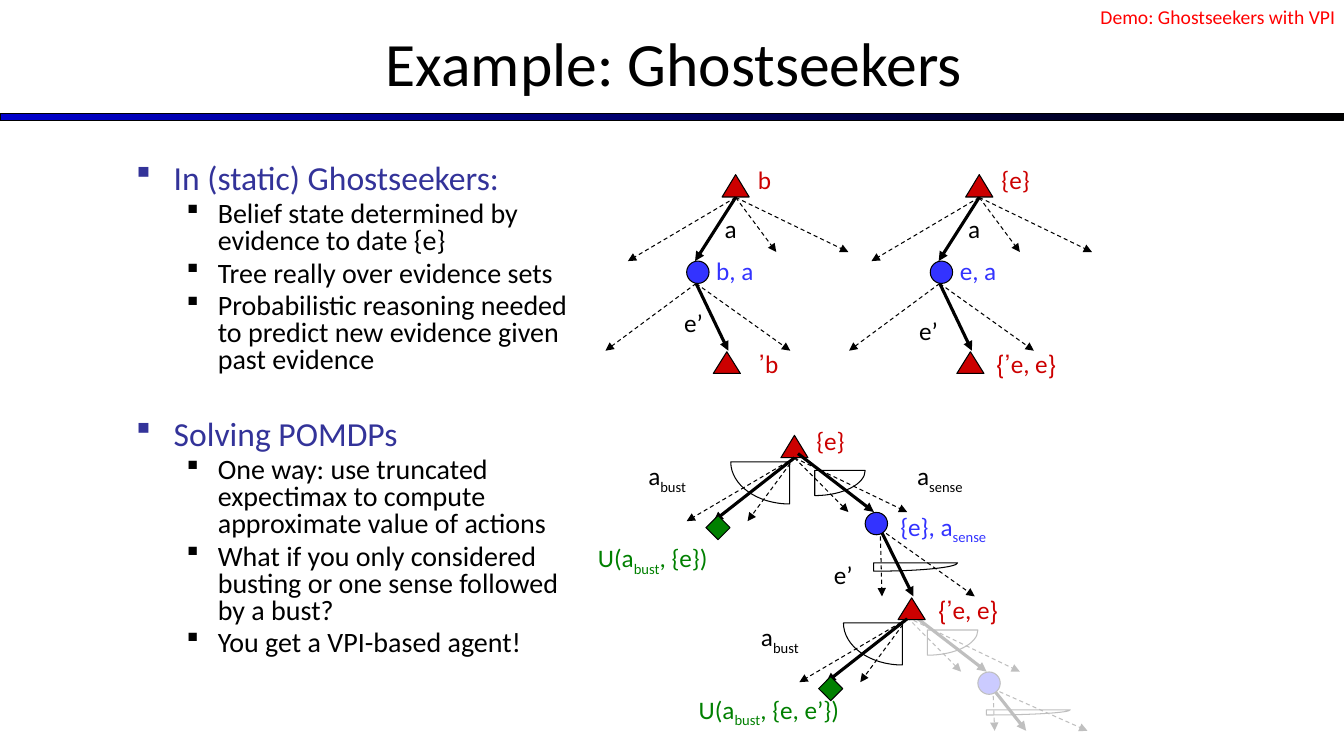
from lxml.etree import SubElement
from pptx import Presentation
from pptx.dml.color import RGBColor
from pptx.enum.dml import MSO_LINE
from pptx.enum.shapes import MSO_CONNECTOR, MSO_SHAPE as SHAPE
from pptx.enum.text import MSO_ANCHOR as ANCHOR, PP_ALIGN as ALIGN
from pptx.oxml.ns import qn
from pptx.util import Pt

BLACK, WHITE = "000000", "FFFFFF"
RED, BLUE, GREEN, NAVY = "CC0000", "3333FF", "008000", "333399"
NODE = 16  # diameter of a chance node
ROOT_Y, ACTION_Y, CHANCE_Y, RESULT_Y = 141, 186.5, 202.5, 250.5
ROUND = 0.55  # Bézier handle length for a quarter ellipse

BODY = [
    (0, "In (static) Ghostseekers:"),
    (1, "Belief state determined by evidence to date {e}"),
    (1, "Tree really over evidence sets"),
    (1, "Probabilistic reasoning needed to predict new evidence given past evidence"),
    (0, "Solving POMDPs"),
    (1, "One way: use truncated expectimax to compute approximate value of actions"),
    (1, "What if you only considered busting or one sense followed by a bust?"),
    (1, "You get a VPI-based agent!"),
]


def rgb(color):
    return RGBColor.from_string(color)


# Text
def write(paragraph, text, size=18, color=BLACK, align=ALIGN.LEFT, rtl=False):
    """Fill a paragraph; parts between bars are subscripts."""
    paragraph.alignment = align
    if rtl:
        paragraph._p.get_or_add_pPr().set("rtl", "1")
    for i, part in enumerate(text.split("|")):
        run = paragraph.add_run()
        run.text = part
        run.font.name = "Calibri"
        run.font.size = Pt(size)
        run.font.color.rgb = rgb(color)
        if i % 2:
            run._r.get_or_add_rPr().set("baseline", "-25000")


def frame(slide, left, top, width, height, anchor=ANCHOR.TOP):
    box = slide.shapes.add_textbox(Pt(left), Pt(top), Pt(width), Pt(height))
    box.text_frame.word_wrap = True
    box.text_frame.vertical_anchor = anchor
    return box.text_frame


def label(slide, text, left, top, width=72, height=29, anchor=ANCHOR.TOP, **style):
    write(frame(slide, left, top, width, height, anchor).paragraphs[0], text, **style)


def outline(slide):
    body = frame(slide, 90, 114, 336, 356)
    for i, (level, text) in enumerate(BODY):
        paragraph = body.paragraphs[0] if i == 0 else body.add_paragraph()
        size, color, margin, indent = [(24, NAVY, 27, 27), (20, BLACK, 58.5, 22.5)][level]
        write(paragraph, text, size=size, color=color)
        paragraph.level = level
        paragraph.line_spacing = 0.8
        paragraph.space_before = Pt(4 if level else 32.5 if i else 0)
        properties = paragraph._p.get_or_add_pPr()
        properties.set("marL", str(Pt(margin)))
        properties.set("indent", str(-Pt(indent)))
        bullet_color = SubElement(properties, qn("a:buClr"))
        SubElement(bullet_color, qn("a:srgbClr"), val=color)
        # The small square of the symbol font sits at this letter
        SubElement(properties, qn("a:buFont"), typeface="Wingdings", charset="2")
        SubElement(properties, qn("a:buChar"), char="§")


# Shapes
def node(slide, kind, left, top, width, height, fill=None, line=BLACK):
    shape = slide.shapes.add_shape(kind, Pt(left), Pt(top), Pt(width), Pt(height))
    shape.shadow.inherit = False
    if fill:
        shape.fill.solid()
        shape.fill.fore_color.rgb = rgb(fill)
    shape.line.color.rgb = rgb(line)
    shape.line.width = Pt(0.75)
    return shape


def max_node(slide, x, top, height=15.5):
    node(slide, SHAPE.ISOSCELES_TRIANGLE, x - 9.7, top, 19.4, height, RED)


def chance_node(slide, left, top):
    node(slide, SHAPE.OVAL, left, top, NODE, NODE, BLUE)


def arrow(slide, start, end, bold=False):
    edge = slide.shapes.add_connector(
        MSO_CONNECTOR.STRAIGHT, *(Pt(v) for v in (*start, *end)))
    edge.line.color.rgb = rgb(BLACK)
    edge.line.width = Pt(2.25 if bold else 0.75)
    if not bold:
        edge.line.dash_style = MSO_LINE.DASH
    properties = edge._element.spPr
    SubElement(properties.find(qn("a:ln")), qn("a:tailEnd"), type="triangle")
    SubElement(properties, qn("a:effectLst"))


def fan(slide, start, chosen, others):
    """Dashed arrows to the other children, a bold one to the chosen child."""
    for end in others:
        arrow(slide, start, end)
    arrow(slide, start, chosen, bold=True)


def wedge(slide, x, y, rx, ry):
    """Quarter ellipse with its corner at x, y; signed radii give the side."""
    builder = slide.shapes.build_freeform(Pt(x), Pt(y))
    builder.add_line_segments([(Pt(x + rx), Pt(y)), (Pt(x), Pt(y + ry))], close=True)
    sector = builder.convert_to_shape()
    sector.shadow.inherit = False
    sector.fill.background()
    sector.line.color.rgb = rgb(BLACK)
    sector.line.width = Pt(0.75)
    # Bend the slanted side into an elliptic arc
    slant = list(sector._element.iter(qn("a:lnTo")))[1]
    slant.tag = qn("a:cubicBezTo")
    end = slant[0]
    end_x, end_y = int(end.get("x")), int(end.get("y"))
    dx, dy = Pt(rx), Pt(ry)
    handles = [(end_x + dx, end_y - dy + ROUND * dy), (end_x + ROUND * dx, end_y)]
    for i, (handle_x, handle_y) in enumerate(handles):
        handle = SubElement(slant, qn("a:pt"), x=str(int(handle_x)), y=str(int(handle_y)))
        slant.insert(i, handle)


# Trees
def belief_tree(slide, x, root, action, result, result_box, evidence_at):
    max_node(slide, x, 124.75, 16)
    fan(slide, (x, ROOT_Y), (x - 29, ACTION_Y),
        [(x - 77, ACTION_Y), (x + 80.5, 180), (x + 29, 180)])
    chance_node(slide, x - 35, ACTION_Y)
    fan(slide, (x - 28.25, CHANCE_Y), (x - 5.25, RESULT_Y),
        [(x - 93, RESULT_Y), (x + 39, RESULT_Y)])
    max_node(slide, x - 6.3, 251.25)
    label(slide, "a", x - 15, 149, 24)
    label(slide, root, x + 8.75, 114, 54, color=RED)
    label(slide, action, x - 21, 178.5, color=BLUE)
    label(slide, "e’", x + evidence_at[0], evidence_at[1], 40)
    left, width = result_box
    label(slide, result, x + left, 245, width, color=RED, align=ALIGN.RIGHT, rtl=True)


def bust_branch(slide, x, y):
    fan(slide, (x, y), (x - 57.75, y + 45.25), [(x - 77, y + 45.25), (x - 33.5, y + 45.25)])
    utility = node(slide, SHAPE.RECTANGLE, x - 60.75, y + 43.75, 12.25, 12.25, GREEN)
    utility.rotation = 45
    wedge(slide, x - 3.5, y + 3, -42, 30)
    label(slide, "a|bust|", x - 111.5, y - 1.5, 78)


def sense_branch(slide, x, y, drop):
    arrow(slide, (x + 2.5, y - 3), (x + 56.75, y + 38.75), bold=True)
    for end in [(x + 80.5, y + 38.75), (x + 38.5, y + 38.75)]:
        arrow(slide, (x, y), end)
    wedge(slide, x + 14.5, y + 9, 36, 18)
    start_x, start_y = x + 61.25, y + 51
    fan(slide, (start_x, start_y), (start_x + 23.75, start_y + drop),
        [(start_x + 1.25, start_y + drop), (start_x + 67.5, start_y + drop)])
    wedge(slide, start_x - 4.75, start_y + drop / 2, 60, drop / 8)
    chance_node(slide, x + 50.5, y + 39)


def header(slide):
    bar = node(slide, SHAPE.RECTANGLE, 0, 81, 960, 5)
    bar.fill.gradient()
    bar.fill.gradient_angle = 0
    for stop, color in zip(bar.fill.gradient_stops, ("0000CC", BLACK)):
        stop.color.rgb = rgb(color)
    label(slide, "Example: Ghostseekers", 1.5, -0.75, 960, 90, ANCHOR.MIDDLE,
          size=44, align=ALIGN.CENTER)
    label(slide, "Demo: Ghostseekers with VPI", 779, 0, 186, 24.5, size=14, color="FF0000")


def vpi_tree(slide):
    # Faded continuation below the second evidence node
    sense_branch(slide, 648, 441, drop=30)
    veil = node(slide, SHAPE.RECTANGLE, 648, 432, 138, 108, WHITE, line=WHITE)
    veil_color = veil._element.spPr.find(qn("a:solidFill")).find(qn("a:srgbClr"))
    SubElement(veil_color, qn("a:alpha"), val="75000")

    # Bust now, or sense first and bust later
    max_node(slide, 567.5, 311, 16)
    bust_branch(slide, 567.5, 327)
    sense_branch(slide, 567.5, 327, drop=48)
    max_node(slide, 651.2, 427)
    bust_branch(slide, 648, 442)

    label(slide, "{e}", 576, 300, 54, color=RED)
    label(slide, "a|sense|", 648, 325.5, 78)
    label(slide, "{e}, a|sense|", 636, 361.5, 108, color=BLUE)
    label(slide, "e’", 588.5, 396, 40)
    label(slide, "{e, e’}", 649, 420.75, 71, color=RED, align=ALIGN.RIGHT, rtl=True)
    label(slide, "U(a|bust|, {e})", 420, 384, 126, color=GREEN)
    label(slide, "U(a|bust|, {e, e’})", 492, 492.25, 150, color=GREEN)


def main():
    deck = Presentation()
    deck.slide_width, deck.slide_height = Pt(960), Pt(540)
    slide = deck.slides.add_slide(deck.slide_layouts[6])
    header(slide)
    outline(slide)
    vpi_tree(slide)
    belief_tree(slide, 525.5, "b", "b, a", "b’", (-3.5, 41), (-44, 216))
    belief_tree(slide, 699.5, "{e}", "e, a", "{e, e’}", (-9, 71), (-50, 221.75))
    deck.save("out.pptx")


if __name__ == "__main__":
    main()
